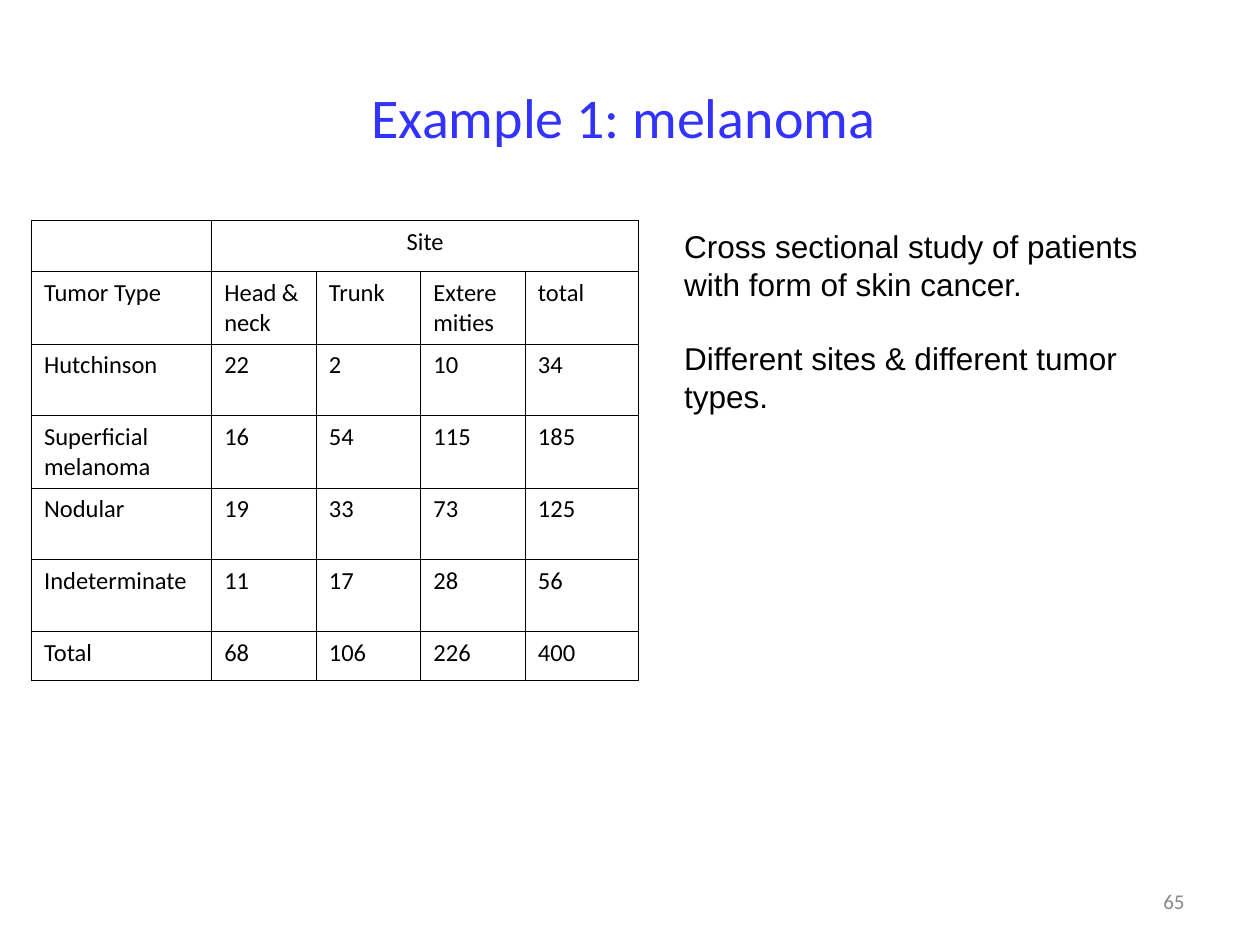
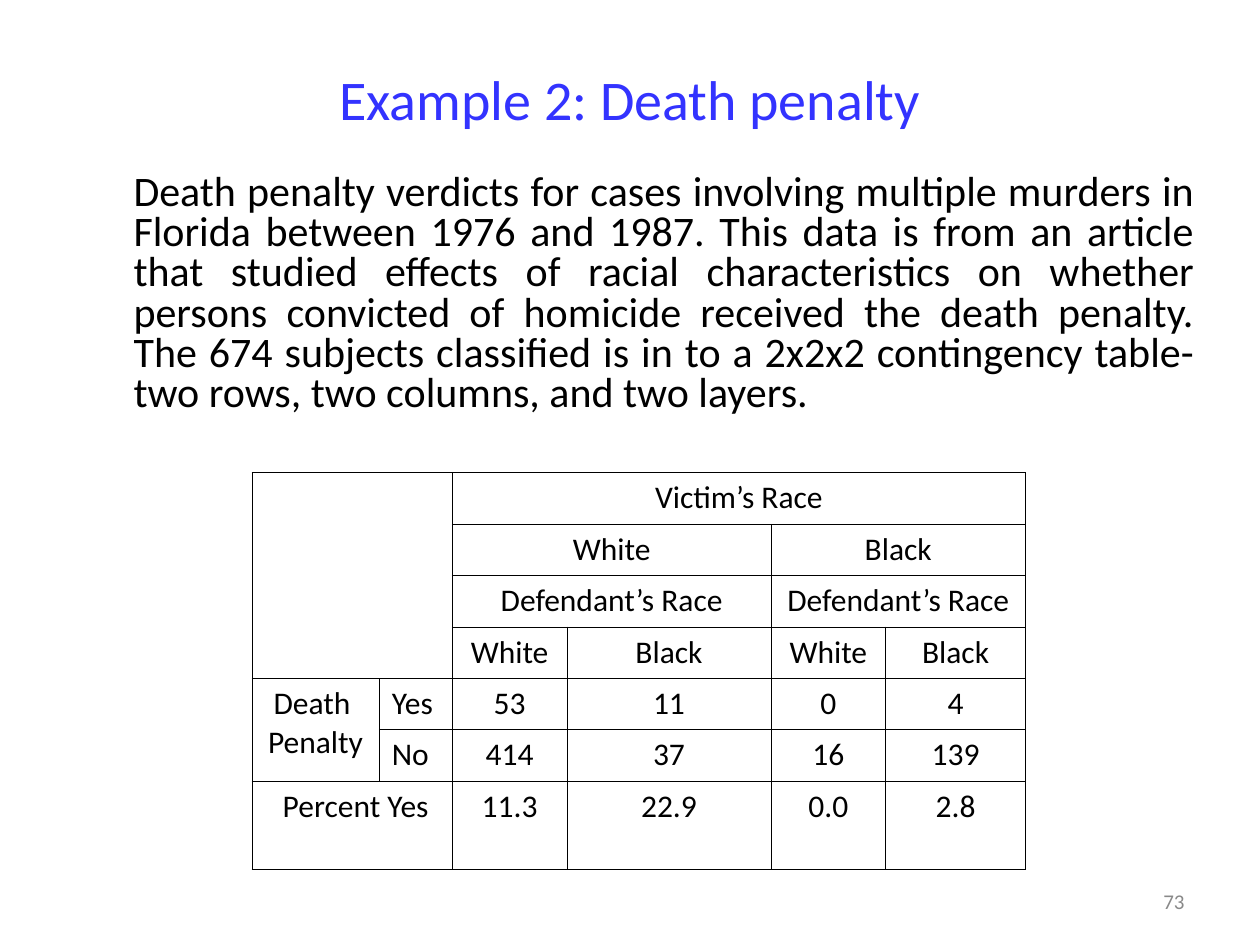
"""Build two slides of contingency table examples."""
import pptx
import pptx.dml.color
import pptx.enum.text
import pptx.oxml
import pptx.oxml.ns
import pptx.util

Inches = pptx.util.Inches
Pt = pptx.util.Pt
ALIGN = pptx.enum.text.PP_ALIGN
ANCHOR = pptx.enum.text.MSO_ANCHOR

BLACK, TITLE_BLUE, NUMBER_GREY = "000000", "3333FF", "898989"
BORDER_WIDTH = Pt(0.45)
NUMBER_BOX = (7.17, 6.95, 2.33, 0.4)

SLIDES = [
    {
        "title": "Example 1: melanoma ",
        "title_box": (0.5, 0.3, 9, 1.25),
        "number": "65",
        "body": ["Cross sectional study of patients with form of skin cancer.",
                 "Different sites & different tumor types."],
        "body_box": (5.33, 1.75, 4.25, 1.9),
        "body_style": {"font": "Arial", "size": 18, "align": ALIGN.LEFT,
                       "indent": 0, "line": 1.0, "gap": 21},
        "table": {
            "place": (0.25, 1.75),
            "size": 14,
            "columns": [1.43, 0.83, 0.83, 0.83, 0.9],
            "heights": [0.4] + [0.57] * 5 + [0.39],
            "merges": {(0, 1): (1, 4)},
            "centred": [],
            "rows": [
                ["", "Site", "", "", ""],
                ["Tumor Type", "Head & neck", "Trunk", "Exteremities", "total"],
                ["Hutchinson", "22", "2", "10", "34"],
                ["Superficial melanoma", "16", "54", "115", "185"],
                ["Nodular", "19", "33", "73", "125"],
                ["Indeterminate", "11", "17", "28", "56"],
                ["Total", "68", "106", "226", "400"],
            ],
        },
    },
    {
        "title": "Example 2: Death penalty",
        "title_box": (0.5, 0.3, 9, 0.95),
        "number": "73",
        "body": ["Death penalty verdicts for cases involving multiple murders in "
                 "Florida between 1976 and 1987. This data is from an article that "
                 "studied effects of racial characteristics on whether persons "
                 "convicted of homicide received the death penalty. The 674 subjects "
                 "classified is in to a 2x2x2 contingency table-two rows, two "
                 "columns, and two layers."],
        "body_box": (0.58, 1.33, 9, 2.25),
        "body_style": {"font": "Calibri", "size": 24, "align": ALIGN.JUSTIFY,
                       "indent": 0.38, "line": 0.8, "gap": 6},
        "table": {
            "place": (2, 3.75),
            "size": 18,
            "columns": [1.01, 0.58, 0.91, 1.62, 0.91, 1.11],
            "heights": [0.41, 0.4, 0.41, 0.41, 0.4, 0.41, 0.7],
            "merges": {(0, 0): (4, 2), (0, 2): (1, 4), (1, 2): (1, 2),
                       (1, 4): (1, 2), (2, 2): (1, 2), (2, 4): (1, 2),
                       (4, 0): (2, 1), (6, 0): (1, 2)},
            "centred": [2, 3, 4, 5],
            "rows": [
                ["", "", "Victim’s Race", "", "", ""],
                ["", "", "White", "", "Black", ""],
                ["", "", "Defendant’s Race", "", "Defendant’s Race", ""],
                ["", "", "White", "Black", "White", "Black"],
                ["Death \nPenalty", "Yes", "53", "11", "0", "4"],
                ["", "No", "414", "37", "16", "139"],
                [" Percent Yes", "", "11.3", "22.9", "0.0", "2.8"],
            ],
        },
    },
]


def colour(value):
    return pptx.dml.color.RGBColor.from_string(value)


def place(shape, bounds):
    shape.left, shape.top, shape.width, shape.height = map(Inches, bounds)


def write(frame, lines, size, fill=BLACK, font="Calibri", align=ALIGN.LEFT):
    for index, line in enumerate(lines):
        para = frame.paragraphs[0] if index == 0 else frame.add_paragraph()
        para.alignment = align
        span = para.add_run()
        span.text = line
        span.font.name, span.font.size = font, Pt(size)
        span.font.color.rgb = colour(fill)


def add_title(page, text, bounds):
    title = page.shapes.title
    place(title, bounds)
    title.text_frame.vertical_anchor = ANCHOR.MIDDLE
    write(title.text_frame, [text], 32, TITLE_BLUE, align=ALIGN.CENTER)


def add_body(page, lines, bounds, style):
    body = page.placeholders[1]
    place(body, bounds)
    frame = body.text_frame
    frame.auto_size = pptx.enum.text.MSO_AUTO_SIZE.NONE
    frame.vertical_anchor = ANCHOR.TOP
    write(frame, lines, style["size"], font=style["font"], align=style["align"])
    for index, para in enumerate(frame.paragraphs):
        properties = para._p.get_or_add_pPr()
        properties.set("marL", str(Inches(style["indent"])))
        properties.set("indent", "0")
        pptx.oxml.ns.qn("a:buNone")
        properties.append(pptx.oxml.parse_xml(
            f'<a:buNone {pptx.oxml.ns.nsdecls("a")}/>'))
        para.line_spacing = style["line"]
        para.space_before = Pt(style["gap"] if index else 0)


def add_number(page, text):
    box = page.shapes.add_textbox(*map(Inches, NUMBER_BOX))
    box.text_frame.word_wrap = True
    box.text_frame.vertical_anchor = ANCHOR.MIDDLE
    write(box.text_frame, [text], 12, NUMBER_GREY, align=ALIGN.RIGHT)


def add_borders(cell):
    properties = cell._tc.get_or_add_tcPr()
    for index, side in enumerate(("lnL", "lnR", "lnT", "lnB")):
        properties.insert(index, pptx.oxml.parse_xml(
            f'<a:{side} {pptx.oxml.ns.nsdecls("a")} w="{BORDER_WIDTH}">'
            f'<a:solidFill><a:srgbClr val="{BLACK}"/></a:solidFill></a:{side}>'))


def add_table(page, content):
    columns, heights = content["columns"], content["heights"]
    bounds = (*content["place"], sum(columns), sum(heights))
    table = page.shapes.add_table(
        len(heights), len(columns), *map(Inches, bounds)).table
    table.first_row = table.horz_banding = False
    for column, width in zip(table.columns, columns):
        column.width = Inches(width)
    for row, height in zip(table.rows, heights):
        row.height = Inches(height)
    for (row, column), (down, across) in content["merges"].items():
        last = table.cell(row + down - 1, column + across - 1)
        table.cell(row, column).merge(last)
    for row, texts in enumerate(content["rows"]):
        for column, text in enumerate(texts):
            cell = table.cell(row, column)
            cell.fill.background()
            add_borders(cell)
            if text:
                centred = cell.is_merge_origin or column in content["centred"]
                write(cell.text_frame, text.split("\n"), content["size"],
                      align=ALIGN.CENTER if centred else ALIGN.LEFT)


def main():
    deck = pptx.Presentation()
    deck.slide_width, deck.slide_height = Inches(10), Inches(7.5)
    for content in SLIDES:
        page = deck.slides.add_slide(deck.slide_layouts[1])
        add_title(page, content["title"], content["title_box"])
        add_body(page, content["body"], content["body_box"], content["body_style"])
        add_table(page, content["table"])
        add_number(page, content["number"])
    deck.save("out.pptx")


if __name__ == "__main__":
    main()
